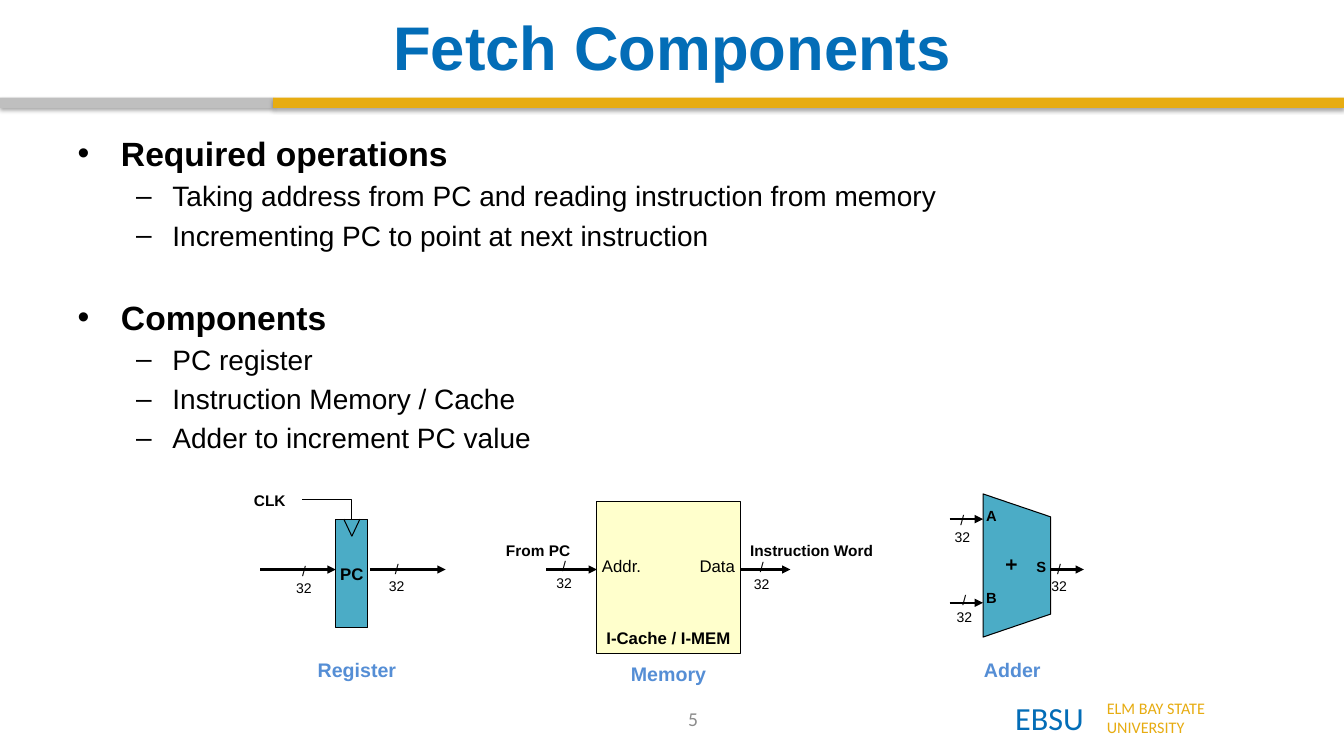
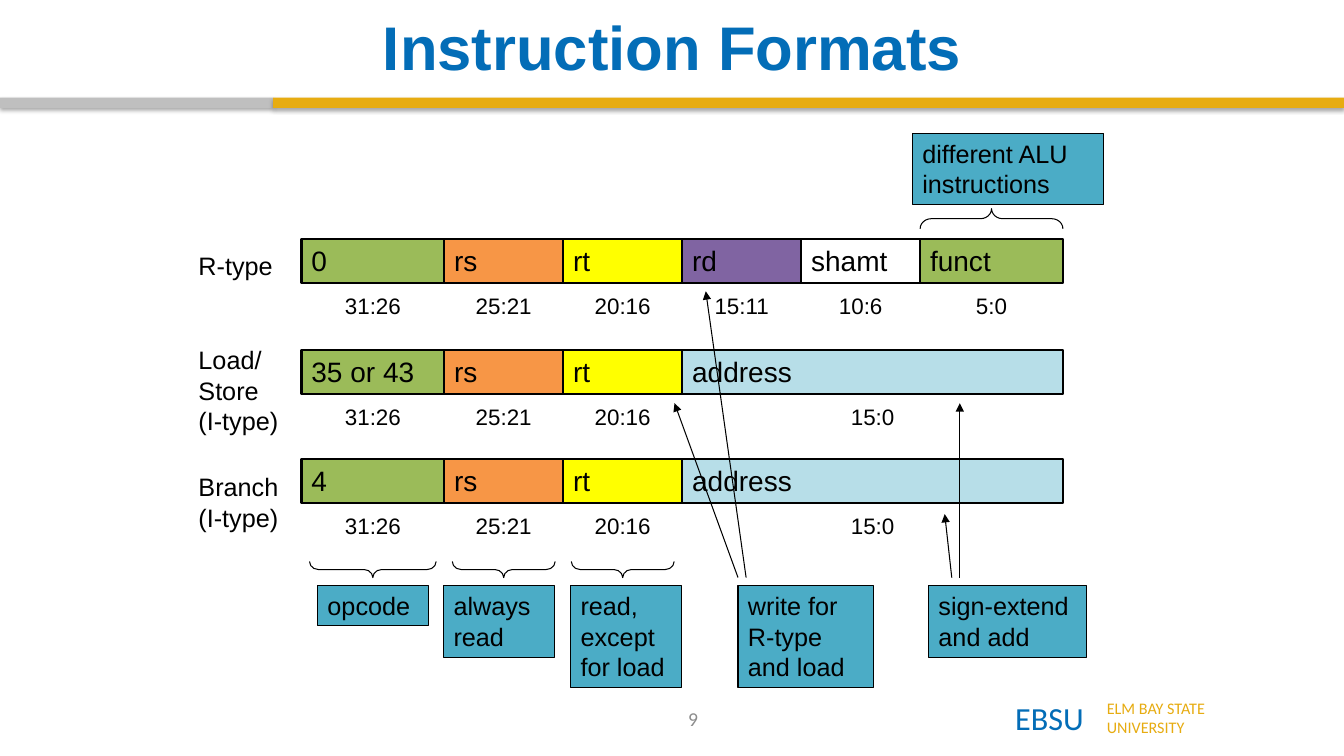
from lxml import etree
from pptx import Presentation
from pptx.dml.color import RGBColor
from pptx.enum.shapes import MSO_CONNECTOR, MSO_SHAPE
from pptx.enum.text import MSO_ANCHOR, MSO_AUTO_SIZE, PP_ALIGN
from pptx.oxml.ns import qn
from pptx.util import Inches, Pt

RECT, BRACE, TRAPEZOID = MSO_SHAPE.RECTANGLE, MSO_SHAPE.LEFT_BRACE, MSO_SHAPE.TRAPEZOID
STRAIGHT = MSO_CONNECTOR.STRAIGHT
LEFT, CENTER, RIGHT = PP_ALIGN.LEFT, PP_ALIGN.CENTER, PP_ALIGN.RIGHT
TOP, MIDDLE, BOTTOM = MSO_ANCHOR.TOP, MSO_ANCHOR.MIDDLE, MSO_ANCHOR.BOTTOM

BLACK = RGBColor(0x00, 0x00, 0x00)
WHITE = RGBColor(0xFF, 0xFF, 0xFF)
BLUE = RGBColor(0x03, 0x6D, 0xB7)
GOLD = RGBColor(0xE7, 0xAC, 0x11)
SILVER = RGBColor(0xBF, 0xBF, 0xBF)
GRAY = RGBColor(0x8C, 0x8C, 0x8C)
TEAL = RGBColor(0x4B, 0xAC, 0xC6)
CREAM = RGBColor(0xFF, 0xFF, 0xCC)
SKY = RGBColor(0x55, 0x8E, 0xD5)
GREEN = RGBColor(0x9B, 0xBB, 0x59)
ORANGE = RGBColor(0xF7, 0x96, 0x46)
YELLOW = RGBColor(0xFF, 0xFF, 0x00)
PURPLE = RGBColor(0x80, 0x64, 0xA2)
ICE = RGBColor(0xB7, 0xDE, 0xE8)

WIDTH, HEIGHT = 13.33, 7.5
SIDE_W = 2.71
WORD_BITS = 32
BIT_W = 0.236
FIELD_H = 0.44
PAD = (0.1, 0.05, 0.1, 0.05)
THIN_PAD = (0.03, 0.05, 0.03, 0.05)
MEM_PAD = (0.05, 0.05, 0.05, 0.05)


def write(shape, text, size, color=BLACK, bold=False, align=LEFT,
          anchor=TOP, font="Arial", pad=PAD, wrap=True):
    frame = shape.text_frame
    frame.text = text
    frame.word_wrap = wrap
    frame.auto_size = MSO_AUTO_SIZE.NONE
    frame.vertical_anchor = anchor
    (frame.margin_left, frame.margin_top,
     frame.margin_right, frame.margin_bottom) = map(Inches, pad)
    for para in frame.paragraphs:
        para.alignment = align
        for run in para.runs:
            style(run, size, color, bold, font)


def style(run, size, color, bold, font="Arial"):
    run.font.size = Pt(size)
    run.font.name = font
    run.font.bold = bold
    run.font.color.rgb = color


def label(slide, box, text, size, **look):
    write(slide.shapes.add_textbox(*map(Inches, box)), text, size, **look)


def block(slide, box, fill=None, line=0.75, kind=RECT):
    """Add a flat shape; no fill means see-through, line 0 means no outline."""
    shape = slide.shapes.add_shape(kind, *map(Inches, box))
    shape.shadow.inherit = False
    if fill is None:
        shape.fill.background()
    else:
        shape.fill.solid()
        shape.fill.fore_color.rgb = fill
    if line:
        shape.line.color.rgb = BLACK
        shape.line.width = Pt(line)
    else:
        shape.line.fill.background()
    return shape


def link(slide, start, end, width=0.75, arrow=False):
    line = slide.shapes.add_connector(STRAIGHT, *map(Inches, start + end))
    line.line.color.rgb = BLACK
    line.line.width = Pt(width)
    props = line.element.spPr
    if arrow:
        etree.SubElement(props.find(qn("a:ln")), qn("a:tailEnd"), type="triangle")
    etree.SubElement(props, qn("a:effectLst"))
    return line


def band(slide, x, width, color):
    shape = block(slide, (x, 0.97, width, 0.1), color, 0)
    effects = shape.element.spPr.find(qn("a:effectLst"))
    shade = etree.SubElement(effects, qn("a:outerShdw"), blurRad="40000",
                             dist="23000", dir="5400000", rotWithShape="0")
    tint = etree.SubElement(shade, qn("a:srgbClr"), val="000000")
    etree.SubElement(tint, qn("a:alpha"), val="35000")


def place(shape, box):
    shape.left, shape.top, shape.width, shape.height = map(Inches, box)


def new_slide(deck, layout, title, number):
    """Add a slide with the shared title, bands and footer."""
    slide = deck.slides.add_slide(deck.slide_layouts[layout])
    band(slide, 0, SIDE_W, SILVER)
    band(slide, SIDE_W, WIDTH - SIDE_W, GOLD)
    place(slide.shapes.title, (0.67, 0.08, 12, 0.76))
    write(slide.shapes.title, title, 44, color=BLUE, bold=True,
          align=CENTER, anchor=MIDDLE)
    label(slide, (5.32, 6.93, 3.11, 0.4), number, 14, color=GRAY,
          align=CENTER, anchor=MIDDLE, font="Calibri")
    label(slide, (9.97, 6.88, 0.95, 0.49), "EBSU", 23, color=BLUE, font="Calibri")
    label(slide, (10.88, 6.88, 1.6, 0.49), "ELM BAY STATE\nUNIVERSITY", 11.5,
          color=GOLD, font="Calibri")
    return slide


def outline(body, box, topics):
    place(body, box)
    rows = [(0, head) for head in topics]
    rows = [row for head, items in topics.items()
            for row in [(0, head)] + [(1, item) for item in items]]
    frame = body.text_frame
    frame.text = "\n".join(text for _, text in rows)
    frame.auto_size = MSO_AUTO_SIZE.NONE
    for spot, (para, (level, _)) in enumerate(zip(frame.paragraphs, rows)):
        para.level = level
        margin, hang, size = ((0.43, 0.43, 24), (0.94, 0.36, 20))[level]
        props = para._p.get_or_add_pPr()
        props.set("marL", str(Inches(margin)))
        props.set("indent", str(-Inches(hang)))
        if spot and level == 0:
            para.space_before = Pt(32)
        for run in para.runs:
            style(run, size, BLACK, level == 0)


def wire(slide, x, y, length, tag_x, tag_y):
    """Draw a 32-bit arrow; its tag is offset from the arrow's start."""
    link(slide, (x, y), (x + length, y), 1.5, True)
    label(slide, (x + tag_x, y + tag_y, 0.33, 0.44), "/\n32", 10,
          align=CENTER, pad=THIN_PAD)


def caption(slide, x, y, text):
    label(slide, (x, y, 1.42, 0.34), text, 14, color=SKY, bold=True, align=CENTER)


def register(slide, x, y):
    width, height = 0.32, 1.08
    mid = x + width / 2
    unit = block(slide, (x, y, width, height), TEAL)
    write(unit, "PC", 12, bold=True, align=CENTER, anchor=MIDDLE, wrap=False)
    for side in (-0.08, 0.08):
        link(slide, (mid + side, y), (mid, y + 0.17))
    label(slide, (x - 0.91, y - 0.33, 0.58, 0.29), "CLK", 11, bold=True)
    clock = link(slide, (x - 0.33, y - 0.19), (mid, y))
    clock.element.spPr.find(qn("a:prstGeom")).set("prst", "bentConnector2")
    wire(slide, x - 0.75, y + 0.5, 0.75, 0.27, -0.12)
    wire(slide, x + 0.34, y + 0.5, 0.75, 0.1, -0.14)
    caption(slide, mid - 0.66, y + 1.33, "Register")


def memory(slide, x, y):
    width, height = 1.42, 1.5
    unit = block(slide, (x, y, width, height), CREAM)
    write(unit, "I-Cache / I-MEM", 12, bold=True, align=CENTER,
          anchor=BOTTOM, wrap=False)
    for port, align in (("Addr.", LEFT), ("Data", RIGHT)):
        label(slide, (x, y + 0.48, width, 0.3), port, 12, align=align, pad=MEM_PAD)
    wire(slide, x - 0.5, y + 0.67, 0.5, 0.01, -0.17)
    wire(slide, x + width, y + 0.67, 0.5, 0.05, -0.16)
    label(slide, (x - 1, y + 0.34, 0.92, 0.29), "From PC", 11, bold=True)
    label(slide, (x + width, y + 0.34, 1.58, 0.29), "Instruction Word", 11, bold=True)
    caption(slide, x, y + 1.54, "Memory")


def adder(slide, x, y):
    width, height = 0.67, 1.42
    shift = (height - width) / 2
    unit = block(slide, (x - shift, y + shift, height, width), TEAL, kind=TRAPEZOID)
    unit.rotation = 90
    unit.adjustments[0] = 0.34
    write(unit, "+", 16, bold=True, align=CENTER, anchor=MIDDLE, font="Calibri")
    for port, left, top in (("A", 0, 0.08), ("B", 0, 0.89), ("S", 0.5, 0.58)):
        label(slide, (x + left, y + top, 0.25, 0.28), port, 10.5, bold=True,
              pad=THIN_PAD)
    wire(slide, x - 0.33, y + 0.25, 0.33, -0.04, -0.12)
    wire(slide, x - 0.33, y + 1.08, 0.33, -0.02, -0.16)
    wire(slide, x + width, y + 0.75, 0.33, -0.08, -0.14)
    caption(slide, x - 0.42, y + 1.58, "Adder")


def word_row(slide, x, y, name, name_y, fields):
    """Draw one instruction word, its name and the bit range of each field."""
    label(slide, (x - 1.12, y + name_y, 1.12, 0.4), name, 18)
    high = WORD_BITS - 1
    for text, bits, fill in fields:
        left = x + (WORD_BITS - 1 - high) * BIT_W
        width = bits * BIT_W
        write(block(slide, (left, y, width, FIELD_H), fill, 1.5), text, 20)
        low = high - bits + 1
        label(slide, (left, y + 0.48, width, 0.37), f"{high}:{low}", 16, align=CENTER)
        high = low - 1


def brace(slide, x, y, width, height, turn):
    """Lay a brace in the given box; turn 270 points down, 90 points up."""
    shift = (width - height) / 2
    shape = block(slide, (x + shift, y - shift, height, width), kind=BRACE)
    shape.rotation = turn
    shape.adjustments[0] = 0.55


def note(slide, box, text):
    write(block(slide, box, TEAL), text, 18)


def fetch_slide(deck):
    slide = new_slide(deck, 1, "Fetch Components", "5")
    outline(slide.placeholders[1], (0.67, 1.27, 12, 5.43), {
        "Required operations": [
            "Taking address from PC and reading instruction from memory",
            "Incrementing PC to point at next instruction"],
        "Components": [
            "PC register", "Instruction Memory / Cache",
            "Adder to increment PC value"]})
    register(slide, 3.33, 5.15)
    memory(slide, 5.92, 4.98)
    adder(slide, 9.75, 4.9)


def format_slide(deck):
    slide = new_slide(deck, 5, "Instruction Formats", "9")
    x = 2.99
    regs = [("rs", 5, ORANGE), ("rt", 5, YELLOW)]
    address = ("address", 16, ICE)
    word_row(slide, x, 2.37, "R-type", 0.06,
             [("0", 6, GREEN), *regs, ("rd", 5, PURPLE),
              ("shamt", 5, None), ("funct", 6, GREEN)])
    word_row(slide, x, 3.47, "Load/\nStore\n(I-type)", -0.1,
             [("35 or 43", 6, GREEN), *regs, address])
    word_row(slide, x, 4.55, "Branch\n(I-type)", 0.08,
             [("4", 6, GREEN), *regs, address])

    for start, bits in ((0, 6), (6, 5), (11, 5)):
        brace(slide, x + start * BIT_W + 0.08, 5.57, bits * BIT_W - 0.16, 0.16, 270)
    brace(slide, x + 26 * BIT_W, 2.07, 6 * BIT_W, 0.2, 90)

    note(slide, (9.05, 1.32, 1.9, 0.71), "different ALU instructions")
    for left, width, height, text in (
            (3.15, 1.1, 0.4, "opcode"),
            (4.4, 1.1, 0.71, "always read"),
            (5.66, 1.1, 1.01, "read, except for load"),
            (7.32, 1.34, 1.01, "write for R-type and load"),
            (9.21, 1.57, 0.71, "sign-extend and add")):
        note(slide, (left, 5.81, width, height), text)
    for left, tip in ((7.32, (6.69, 4)), (7.4, (7, 2.89)),
                      (9.44, (9.37, 5.1)), (9.52, (9.52, 4))):
        link(slide, (left, 5.73), tip, arrow=True)


def main():
    deck = Presentation()
    deck.slide_width, deck.slide_height = Inches(WIDTH), Inches(HEIGHT)
    fetch_slide(deck)
    format_slide(deck)
    deck.save("out.pptx")


if __name__ == "__main__":
    main()
